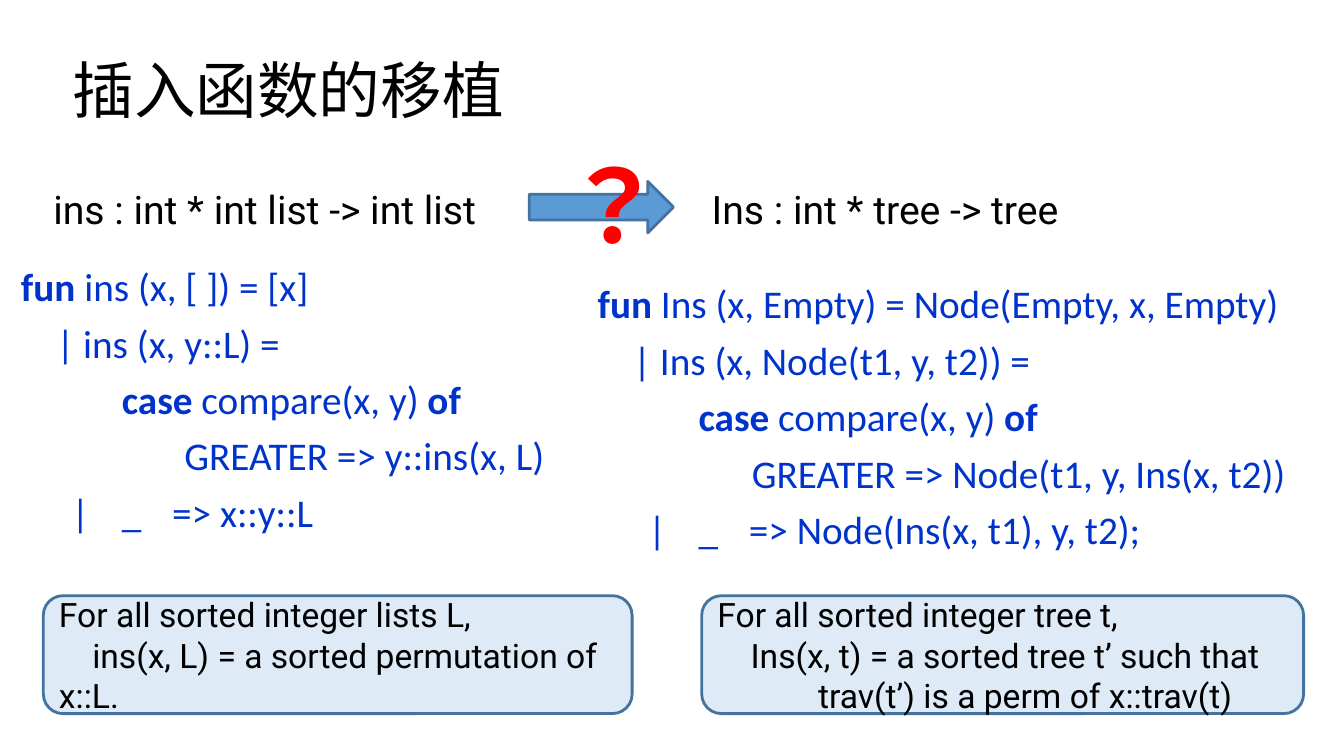
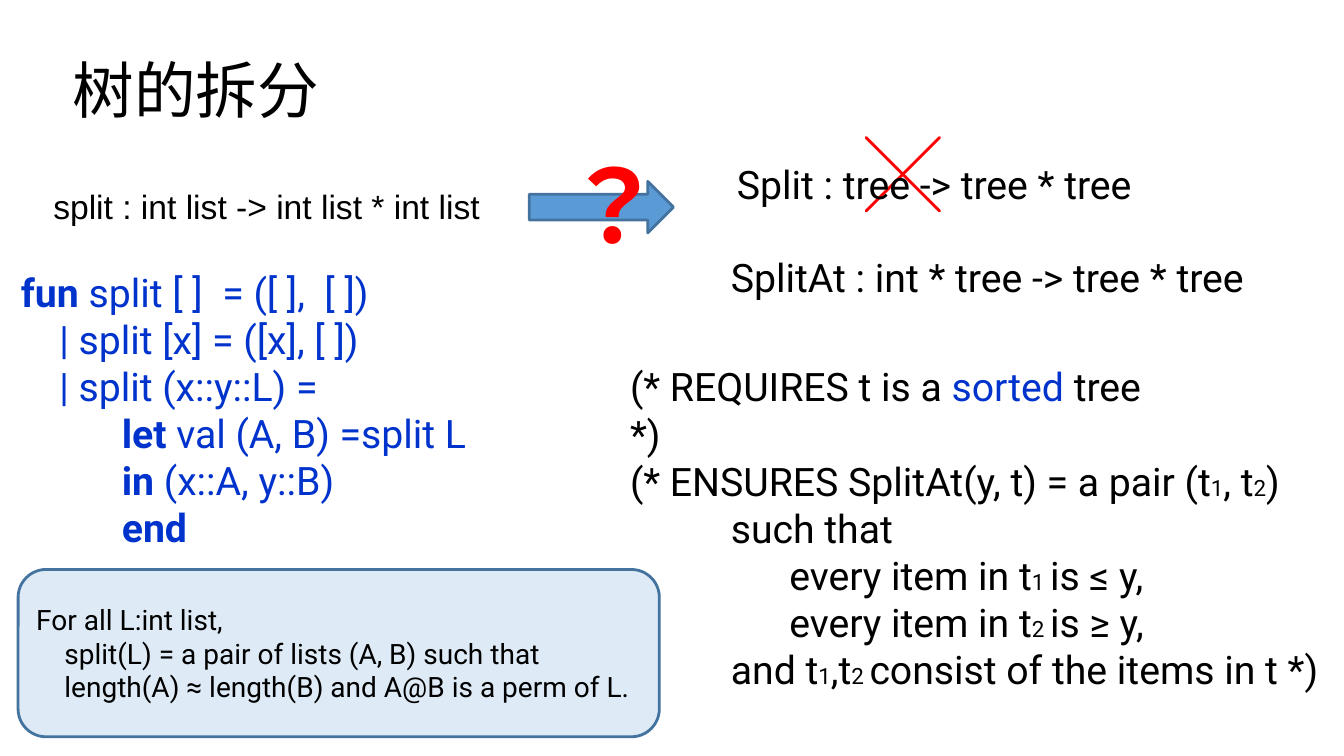
from lxml import etree
from pptx import Presentation
from pptx.dml.color import RGBColor
from pptx.enum import shapes, text
from pptx.oxml import ns
from pptx.util import Inches, Pt

BLACK = RGBColor(0, 0, 0)
CODE_BLUE = RGBColor(0x00, 0x33, 0xCC)
RED = RGBColor(0xFF, 0, 0)
ARROW_BLUE = RGBColor(0x5B, 0x9B, 0xD5)
NOTE_BLUE = RGBColor(0xDE, 0xEB, 0xF6)
EDGE_BLUE = RGBColor(0x43, 0x73, 0x9E)
CJK_FONT = "Noto Sans CJK JP"

BOLD = {"bold": True}
BLUE = {"color": CODE_BLUE}
SMALL = {"size": 16}

TITLE_PLACE = (0.67, 0.1, 12, 1.65)
CODE_PLACE = (0.11, 2.61, 5.65, 2.27)
ARROW_PLACE = (5.25, 1.8, 1.43, 0.51)
QUESTION_PLACE = (5.49, 1.37, 0.66, 1.31)

LIST_CODE = [
    (0, [("fun ", BOLD), "ins (x, [ ]) = [x]"]),
    (0.35, ["| ins (x, y::L) ="]),
    (1, [("case ", BOLD), "compare(x, y) ", ("of", BOLD)]),
    (1.62, ["GREATER => y::ins(x, L)"]),
    (0, ["\t|\t_\t=> x::y::L"]),
]
TREE_CODE = [
    (0, [("fun", BOLD), " Ins (x, Empty) = Node(Empty, x, Empty)"]),
    (0.35, ["| Ins (x, Node(t1, y, t2)) ="]),
    (1, [("case", BOLD), " compare(x, y) ", ("of", BOLD)]),
    (1.53, ["GREATER => Node(t1, y, Ins(x, t2))"]),
    (0, ["\t|\t_\t=> Node(Ins(x, t1), y, t2);"]),
]
SPLIT_CODE = [
    (0, [("fun ", BOLD), "split [ ]  = ([ ],  [ ])"]),
    (0.38, ["| split [x] = ([x], [ ])"]),
    (0.38, ["| split (x::y::L) ="]),
    (1, [("let ", BOLD), "val (A, B) =split L"]),
    (1, [("in ", BOLD), "(x::A, y::B)"]),
    (1, [("end", BOLD)]),
]
SPLIT_AT_CONTRACT = [
    (0, ["(* REQUIRES t is a ", ("sorted", BLUE), " tree"]),
    (0, ["*)"]),
    (0, ["(* ENSURES SplitAt(y, t) = a pair (t", ("1", SMALL), ", t", ("2", SMALL), ")"]),
    (1, ["such that"]),
    (1.58, ["every item in t", ("1 ", SMALL), "is ≤ y,"]),
    (1.58, ["every item in t", ("2 ", SMALL), "is ≥ y,"]),
    (1, ["and t", ("1", SMALL), ",t", ("2 ", SMALL), "consist of the items in t *)"]),
]
LIST_NOTE = [
    (0, ["For all sorted integer lists L,"]),
    (0.33, ["ins(x, L) = a sorted permutation of x::L."]),
]
TREE_NOTE = [
    (0, ["For all sorted integer tree t,"]),
    (0.33, ["Ins(x, t) = a sorted tree t’ such that"]),
    (1, ["trav(t’) is a perm of x::trav(t)"]),
]
SPLIT_NOTE = [
    (0, ["For all L:int list,"]),
    (0.28, ["split(L) = a pair of lists (A, B) such that"]),
    (0.28, ["length(A) ≈ length(B) and A@B is a perm of L."]),
]

SLIDES = [
    {
        "title": ("插入函数的移植", "Roboto"),
        "texts": [
            ((0.43, 1.79, 5.02, 0.57), "ins : int * int list -> int list", {}),
            ((6.96, 1.79, 5.02, 0.57), "Ins : int * tree -> tree", {}),
            (CODE_PLACE, LIST_CODE, dict(font="Calibri", color=CODE_BLUE, line=0.9,
                                         before=10, tabs=(1.09, 1.97, 3.18))),
            ((5.83, 2.63, 7.25, 2.89), TREE_CODE, dict(font="Calibri", color=CODE_BLUE,
                                                       line=1.2, tabs=(1.26, 2, 3))),
        ],
        "notes": [
            ((0.43, 5.91, 5.84, 1.17), LIST_NOTE, 24),
            ((6.96, 5.91, 5.97, 1.17), TREE_NOTE, 24),
        ],
    },
    {
        "title": ("树的拆分", "Calibri"),
        "texts": [
            ((0.43, 1.79, 5.02, 0.51), "split : int list -> int list * int list",
             dict(font="Arial", size=24)),
            (CODE_PLACE, SPLIT_CODE, dict(color=CODE_BLUE)),
            ((8.49, 1.22, 0.71, 1.01), "╳",
             dict(font=CJK_FONT, east=CJK_FONT, size=54, color=RED, bold=True)),
            ((7.21, 1.54, 5.02, 0.57), "Split : tree -> tree * tree", {}),
            ((7.15, 2.46, 5.65, 0.57), "SplitAt : int * tree -> tree * tree", {}),
            ((6.15, 3.55, 7.18, 3.4), SPLIT_AT_CONTRACT, {}),
        ],
        "notes": [((0.18, 5.65, 6.36, 1.66), SPLIT_NOTE, 20)],
    },
]


def write(shape, content, font="Roboto", east=None, size=28, color=BLACK, bold=False,
          line=1, before=0, tabs=(), anchor=text.MSO_ANCHOR.TOP,
          align=text.PP_ALIGN.LEFT, wrap=True):
    lines = [(0, [content])] if isinstance(content, str) else content
    frame = shape.text_frame
    frame.word_wrap = wrap
    frame.vertical_anchor = anchor
    for index, (indent, spans) in enumerate(lines):
        para = frame.add_paragraph() if index else frame.paragraphs[0]
        para.alignment = align
        para.line_spacing = line
        para.space_before = Pt(before if index else 0)
        properties = para._p.get_or_add_pPr()
        properties.set("marL", "0")
        properties.set("indent", str(Inches(indent)))
        if tabs:
            stops = etree.SubElement(properties, ns.qn("a:tabLst"))
            for stop in tabs:
                etree.SubElement(stops, ns.qn("a:tab"), pos=str(Inches(stop)), algn="l")
        for item in spans:
            words, style = (item, {}) if isinstance(item, str) else item
            span = para.add_run()
            span.text = words
            span.font.name = font
            span.font.size = Pt(style.get("size", size))
            span.font.bold = style.get("bold", bold)
            span.font.color.rgb = style.get("color", color)
            if east:
                etree.SubElement(span.font._element, ns.qn("a:ea"), typeface=east)


def add_text(page, place, content, **style):
    box = page.shapes.add_textbox(*map(Inches, place))
    write(box, content, **style)
    return box


def add_block(page, kind, place, fill):
    block = page.shapes.add_shape(kind, *map(Inches, place))
    block.shadow.inherit = False
    block.fill.solid()
    block.fill.fore_color.rgb = fill
    block.line.color.rgb = EDGE_BLUE
    block.line.width = Pt(2)
    return block


def add_title(page, title, font):
    box = add_text(page, TITLE_PLACE, title, font=font, east=CJK_FONT, size=44,
                   line=0.9, anchor=text.MSO_ANCHOR.MIDDLE)
    frame = box.text_frame
    frame.margin_left = frame.margin_right = Inches(0.05)


def add_question_arrow(page):
    add_block(page, shapes.MSO_SHAPE.RIGHT_ARROW, ARROW_PLACE, ARROW_BLUE)
    add_text(page, QUESTION_PLACE, "？", font="Arial", east=CJK_FONT, size=72, color=RED,
             bold=True, align=text.PP_ALIGN.CENTER, wrap=False)


def main():
    deck = Presentation()
    deck.slide_width, deck.slide_height = Inches(13.33), Inches(7.5)
    for content in SLIDES:
        page = deck.slides.add_slide(deck.slide_layouts[6])
        add_title(page, *content["title"])
        add_question_arrow(page)
        for place, lines, style in content["texts"]:
            add_text(page, place, lines, **style)
        for place, lines, size in content["notes"]:
            note = add_block(page, shapes.MSO_SHAPE.ROUNDED_RECTANGLE, place, NOTE_BLUE)
            write(note, lines, size=size, anchor=text.MSO_ANCHOR.MIDDLE)
    deck.save("out.pptx")


if __name__ == "__main__":
    main()
